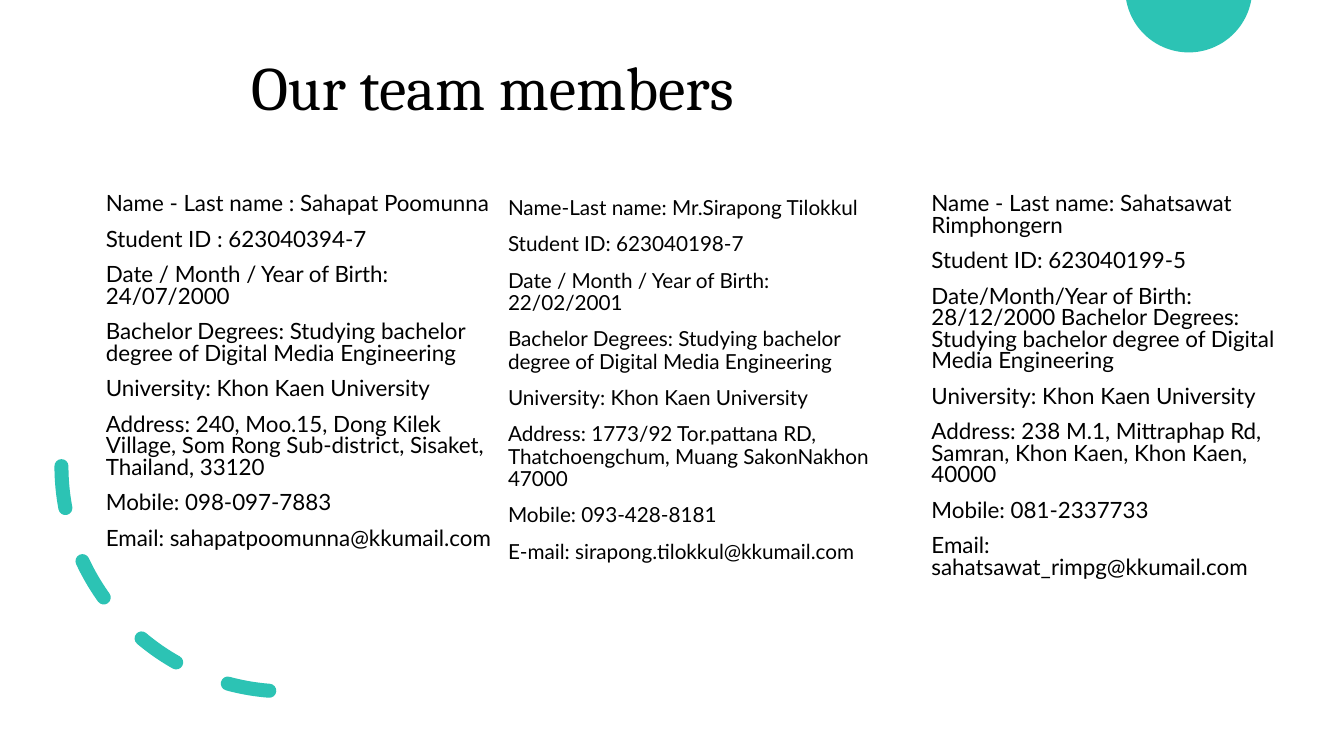
import math
from dataclasses import dataclass

import pptx
import pptx.dml.color
import pptx.enum.dml
import pptx.enum.shapes
import pptx.enum.text
import pptx.oxml
import pptx.shapes.base
import pptx.slide
import pptx.text.text
import pptx.util
from pptx.util import Inches

COLOURS: dict[str, str] = {"teal": "2CC3B4", "text": "000000", "page": "FFFFFF"}


@dataclass
class Member:
    left: float
    top: float
    width: float
    size: float
    line_spacing: float
    details: list[str]


MEMBERS: list[Member] = [
    Member(0.95, 1.88, 4.05, 16, 0.8, [
        "Name - Last name : Sahapat Poomunna",
        "Student ID : 623040394-7",
        "Date / Month / Year of Birth: 24/07/2000",
        "Bachelor Degrees: Studying bachelor degree of Digital Media Engineering",
        "University: Khon Kaen University",
        "Address: 240, Moo.15, Dong Kilek Village, Som Rong Sub-district, "
        "Sisaket, Thailand, 33120",
        "Mobile: 098-097-7883",
        "Email: sahapatpoomunna@kkumail.com",
    ]),
    Member(4.94, 1.91, 3.95, 14.8, 0.9, [
        "Name-Last name: Mr.Sirapong Tilokkul",
        "Student ID: 623040198-7",
        "Date / Month / Year of Birth: 22/02/2001",
        "Bachelor Degrees: Studying bachelor degree of Digital Media Engineering",
        "University: Khon Kaen University",
        "Address: 1773/92 Tor.pattana RD, Thatchoengchum, Muang SakonNakhon 47000",
        "Mobile: 093-428-8181",
        "E-mail: sirapong.tilokkul@kkumail.com",
    ]),
    Member(9.14, 1.88, 3.79, 16, 0.8, [
        "Name - Last name: Sahatsawat Rimphongern",
        "Student ID: 623040199-5",
        "Date/Month/Year of Birth: 28/12/2000 Bachelor Degrees: "
        "Studying bachelor degree of Digital Media Engineering",
        "University: Khon Kaen University",
        "Address: 238 M.1, Mittraphap Rd, Samran, Khon Kaen, Khon Kaen, 40000",
        "Mobile: 081-2337733",
        "Email: sahatsawat_rimpg@kkumail.com",
    ]),
]


def colour(name: str) -> pptx.dml.color.RGBColor:
    return pptx.dml.color.RGBColor.from_string(COLOURS[name])


def place(box: pptx.shapes.base.BaseShape, left: float, top: float,
          width: float, height: float) -> None:
    box.left, box.top = Inches(left), Inches(top)
    box.width, box.height = Inches(width), Inches(height)


def format_paragraph(para: pptx.text.text._Paragraph, font: str, size: float,
                     line_spacing: float) -> None:
    para.alignment = pptx.enum.text.PP_ALIGN.LEFT
    para.line_spacing = line_spacing
    for span in para.runs:
        span.font.name = font
        span.font.size = pptx.util.Pt(size)
        span.font.color.rgb = colour("text")


def fill_member(box: pptx.shapes.base.BaseShape, member: Member) -> None:
    place(box, member.left, member.top, member.width, 4.22)
    frame = box.text_frame
    frame.text = "\n".join(member.details)
    frame.word_wrap = True
    frame.auto_size = pptx.enum.text.MSO_AUTO_SIZE.NONE
    frame.vertical_anchor = pptx.enum.text.MSO_ANCHOR.TOP
    for index, para in enumerate(frame.paragraphs):
        format_paragraph(para, "Lato", member.size, member.line_spacing)
        para.space_before = pptx.util.Pt(10 if index else 0)
        # Plain lines without bullet or indent
        properties = para._p.get_or_add_pPr()
        properties.set("marL", "0")
        properties.set("indent", "0")
        properties.append(pptx.oxml.parse_xml(
            '<a:buNone xmlns:a="http://schemas.openxmlformats.org/drawingml/2006/main"/>'))


def draw_cut_circle(page: pptx.slide.Slide) -> None:
    """Draw the part of a circle that hangs below the top edge of the page."""
    centre_x, centre_y, radius, steps = 11.79, -0.11, 0.63, 60
    start = math.asin(-centre_y / radius)
    angles = [start + (math.pi - 2 * start) * step / steps for step in range(steps + 1)]
    points = [(Inches(centre_x + radius * math.cos(angle)),
               Inches(centre_y + radius * math.sin(angle))) for angle in angles]
    builder = page.shapes.build_freeform(*points[0])
    builder.add_line_segments(points[1:], close=True)
    circle = builder.convert_to_shape()
    circle.shadow.inherit = False
    circle.fill.solid()
    circle.fill.fore_color.rgb = colour("teal")
    circle.line.fill.background()


def draw_dashed_arc(page: pptx.slide.Slide) -> None:
    arc = page.shapes.add_shape(pptx.enum.shapes.MSO_SHAPE.ARC, Inches(0.61),
                                Inches(2.39), Inches(4.47), Inches(4.47))
    arc.shadow.inherit = False
    arc.rotation = 270
    arc._element.spPr.get_or_add_xfrm().set("flipH", "1")
    arc.fill.background()
    arc.line.color.rgb = colour("teal")
    arc.line.width = pptx.util.Pt(10)
    arc.line.dash_style = pptx.enum.dml.MSO_LINE.DASH
    arc.line._get_or_add_ln().set("cap", "rnd")


def main() -> None:
    deck = pptx.Presentation()
    deck.slide_width, deck.slide_height = Inches(13.33), Inches(7.5)
    page = deck.slides.add_slide(deck.slide_layouts.get_by_name("Title and Content"))
    page.background.fill.solid()
    page.background.fill.fore_color.rgb = colour("page")

    # Title
    title = page.shapes.title
    place(title, 2.39, 0.17, 11.5, 1.45)
    title.text_frame.text = "Our team members"
    title.text_frame.vertical_anchor = pptx.enum.text.MSO_ANCHOR.MIDDLE
    format_paragraph(title.text_frame.paragraphs[0], "Cambria", 44, 0.9)

    # Decorations
    draw_cut_circle(page)
    draw_dashed_arc(page)

    # Team members: the first in the body placeholder, the others beside it
    fill_member(page.placeholders[1], MEMBERS[0])
    for member in MEMBERS[1:]:
        fill_member(page.shapes.add_textbox(0, 0, 0, 0), member)

    deck.save("out.pptx")


if __name__ == "__main__":
    main()
